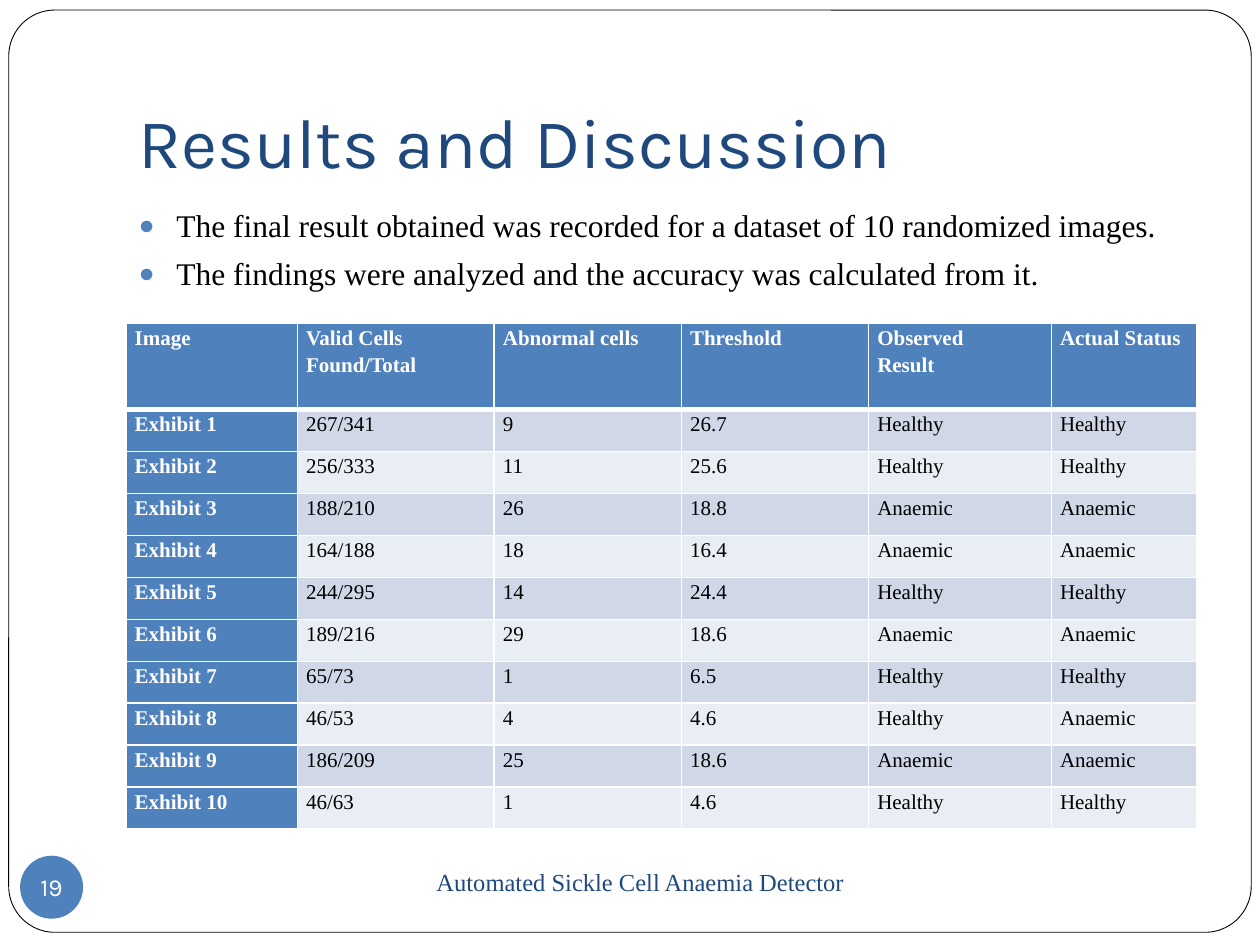
import pptx
import pptx.util
import pptx.dml.color
import pptx.enum.shapes
import pptx.enum.text
import pptx.oxml
import pptx.oxml.ns

Pt = pptx.util.Pt
ANCHOR = pptx.enum.text.MSO_ANCHOR
CENTER = pptx.enum.text.PP_ALIGN.CENTER
SHAPE = pptx.enum.shapes.MSO_SHAPE
NS = pptx.oxml.ns.nsdecls("a")
BLUE, NAVY, WHITE, BLACK = "4F81BD", "1F497D", "FFFFFF", "000000"
SERIF, SANS = "Times New Roman", "Karla"


def color(target, value):
    target.rgb = pptx.dml.color.RGBColor.from_string(value)


def write(paragraph, text, size, face, value, bold=False):
    for i, line in enumerate(text.split("\n")):
        if i:
            paragraph.add_line_break()
        run = paragraph.add_run()
        run.text = line
        run.font.size = Pt(size)
        run.font.name = face
        run.font.bold = bold
        color(run.font.color, value)


deck = pptx.Presentation()
deck.slide_width, deck.slide_height = Pt(720), Pt(540)
slide = deck.slides.add_slide(deck.slide_layouts[1])
shapes = slide.shapes
title, findings = shapes.title, slide.placeholders[1]

frame = shapes.add_shape(SHAPE.ROUNDED_RECTANGLE, Pt(5), Pt(5.75), Pt(710), Pt(527))
frame.adjustments[0] = 0.05
frame.shadow.inherit = False
frame.fill.solid()
color(frame.fill.fore_color, WHITE)
color(frame.line.color, BLACK)
frame.line.width = Pt(0.5)
title._element.addprevious(frame._element)

title.left, title.top, title.width, title.height = Pt(72), Pt(21.6), Pt(612), Pt(90)
title.text_frame.auto_size = pptx.enum.text.MSO_AUTO_SIZE.NONE
title.text_frame.vertical_anchor = ANCHOR.BOTTOM
title.text_frame.margin_bottom = Pt(7.2)
heading = title.text_frame.paragraphs[0]
heading.alignment = pptx.enum.text.PP_ALIGN.LEFT
write(heading, "Results and Discussion", 40, SANS, NAVY)

footer = shapes.add_textbox(Pt(72), Pt(486), Pt(588), Pt(36))
footer.text_frame.word_wrap = True
footer.text_frame.vertical_anchor = ANCHOR.MIDDLE
footer_line = footer.text_frame.paragraphs[0]
footer_line.alignment = CENTER
write(footer_line, "Automated Sickle Cell Anaemia Detector", 14, SERIF, NAVY)

page = shapes.add_shape(SHAPE.OVAL, Pt(11.5), Pt(489), Pt(36), Pt(36))
page.shadow.inherit = False
page.fill.solid()
color(page.fill.fore_color, BLUE)
page.line.fill.background()
page_frame = page.text_frame
page_frame.word_wrap = False
page_frame.vertical_anchor = ANCHOR.MIDDLE
page_frame.margin_left = page_frame.margin_right = 0
page_frame.margin_top = page_frame.margin_bottom = 0
page_frame.paragraphs[0].alignment = CENTER
write(page_frame.paragraphs[0], "19", 14, SANS, WHITE)

findings.left, findings.top, findings.width, findings.height = Pt(72), Pt(114), Pt(612), Pt(360)
findings.text_frame.auto_size = pptx.enum.text.MSO_AUTO_SIZE.NONE
points = [
    "The final result obtained was recorded for a dataset of 10 randomized images.",
    "The findings were analyzed and the accuracy was calculated from it.",
]
for i, point in enumerate(points):
    item = findings.text_frame.add_paragraph() if i else findings.text_frame.paragraphs[0]
    item.space_before = Pt(5.8)
    write(item, point, 18, SERIF, BLACK)
    item_format = item._p.get_or_add_pPr()
    item_format.set("marL", str(Pt(21.6)))
    item_format.set("indent", str(-Pt(21.6)))
    for bullet in (
        f'<a:buClr {NS}><a:srgbClr val="{BLUE}"/></a:buClr>',
        f'<a:buSzPct {NS} val="85000"/>',
        f'<a:buChar {NS} char="●"/>',
    ):
        item_format.append(pptx.oxml.parse_xml(bullet))

results = [
    ("Image", "Valid Cells Found/Total", "Abnormal cells", "Threshold", "Observed\nResult", "Actual Status"),
    ("Exhibit 1", "267/341", "9", "26.7", "Healthy", "Healthy"),
    ("Exhibit 2", "256/333", "11", "25.6", "Healthy", "Healthy"),
    ("Exhibit 3", "188/210", "26", "18.8", "Anaemic", "Anaemic"),
    ("Exhibit 4", "164/188", "18", "16.4", "Anaemic", "Anaemic"),
    ("Exhibit 5", "244/295", "14", "24.4", "Healthy", "Healthy"),
    ("Exhibit 6", "189/216", "29", "18.6", "Anaemic", "Anaemic"),
    ("Exhibit 7", "65/73", "1", "6.5", "Healthy", "Healthy"),
    ("Exhibit 8", "46/53", "4", "4.6", "Healthy", "Anaemic"),
    ("Exhibit 9", "186/209", "25", "18.6", "Anaemic", "Anaemic"),
    ("Exhibit 10", "46/63", "1", "4.6", "Healthy", "Healthy"),
]
widths = [98, 112.4, 107, 107, 104.4, 83.2]
table = shapes.add_table(len(results), len(widths), Pt(72), Pt(185), Pt(612), Pt(289)).table
table.first_col = True
for column, width in zip(table.columns, widths):
    column.width = Pt(width)
for r, record in enumerate(results):
    table.rows[r].height = Pt(24 if r else 49)
    for c, value in enumerate(record):
        cell = table.cell(r, c)
        label = r == 0 or c == 0
        cell.margin_left = cell.margin_right = Pt(5)
        cell.margin_top = cell.margin_bottom = 0
        entry = cell.text_frame.paragraphs[0]
        entry.line_spacing = 1.15
        entry.space_after = Pt(10)
        write(entry, value, 12, SERIF, WHITE if label else BLACK, label)
        for side in "LRTB":
            thick = (r, side) in ((0, "B"), (1, "T"))
            cell._tc.get_or_add_tcPr().append(pptx.oxml.parse_xml(
                f'<a:ln{side} {NS} w="{Pt(3 if thick else 1)}"><a:solidFill>'
                f'<a:srgbClr val="{WHITE}"/></a:solidFill></a:ln{side}>'))
        cell.fill.solid()
        color(cell.fill.fore_color, BLUE if label else ("E9EDF4", "D0D8E8")[r % 2])

deck.save("out.pptx")
